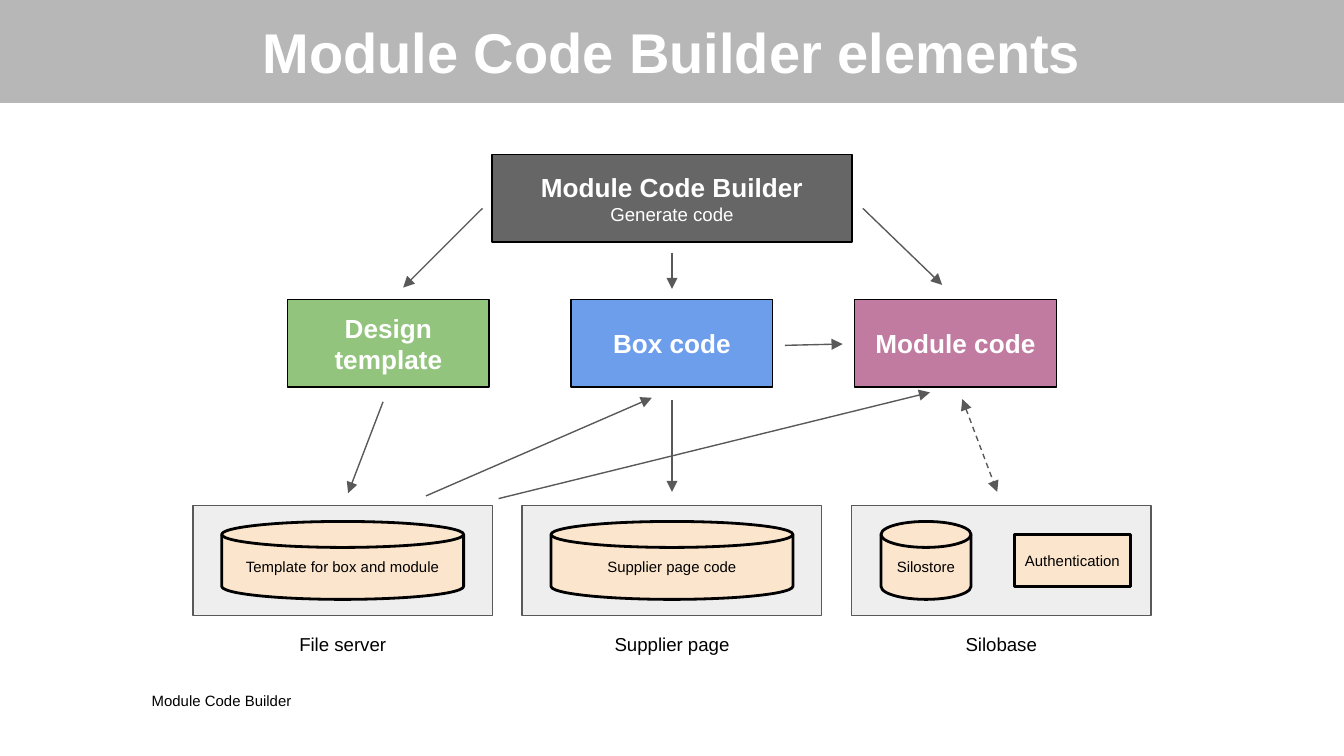
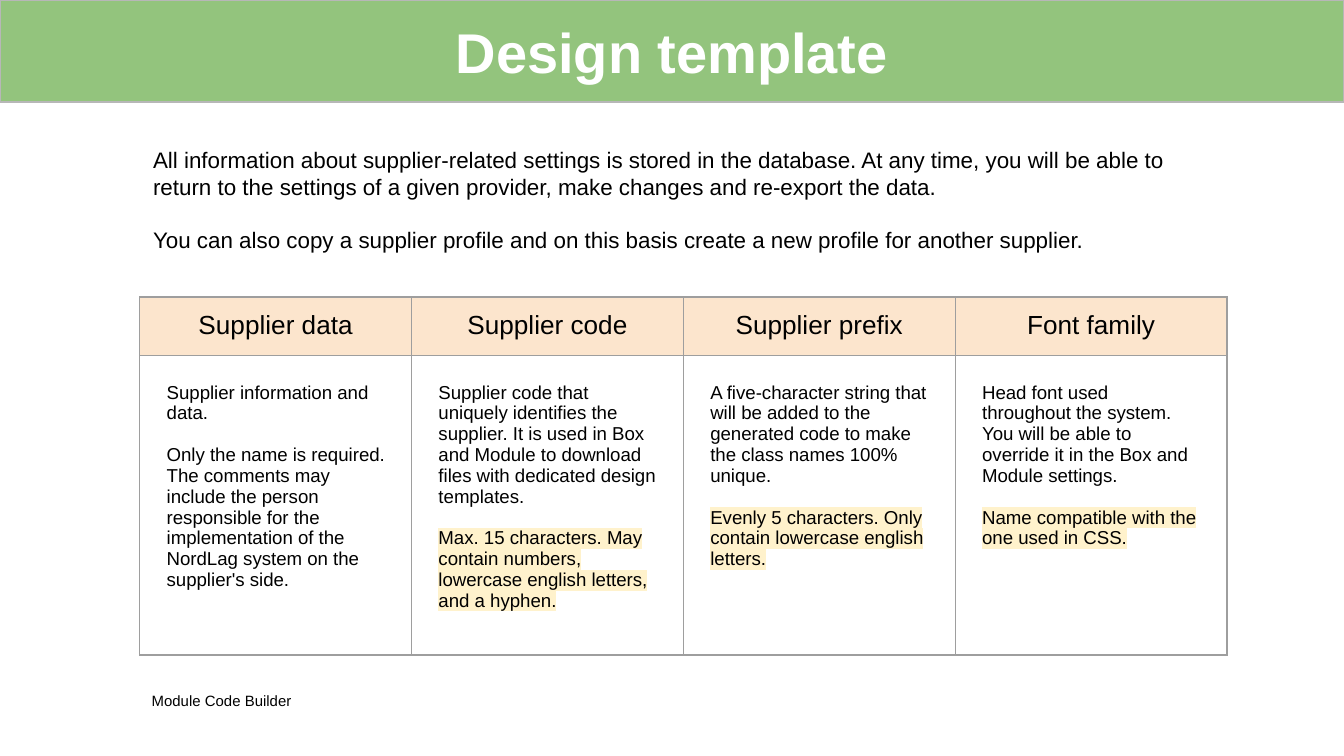
from lxml.etree import SubElement
from pptx import Presentation
from pptx.dml.color import RGBColor
from pptx.enum.dml import MSO_LINE
from pptx.enum.shapes import MSO_CONNECTOR, MSO_SHAPE as Shape
from pptx.enum.text import MSO_ANCHOR as Anchor, PP_ALIGN as Align
from pptx.oxml.ns import qn
from pptx.util import Inches, Pt

WIDTH, HEIGHT = 10, 10 * 9 / 16
MIDDLE = WIDTH / 2
FONT = "Arial"
COLORS = {
    "white": "FFFFFF", "black": "000000", "band": "B7B7B7", "builder": "666666",
    "design": "93C47D", "box": "6D9EEB", "module": "C27BA0", "storage": "EEEEEE",
    "peach": "FCE5CD", "line": "595959", "grid": "9E9E9E", "highlight": "FFF2CC",
}
FOOTER = "Module Code Builder"

# Diagram: code parts and storages are centred on evenly spaced columns.
PARTS = [("Design template", "design"), ("Box code", "box"), ("Module code", "module")]
PART_STEP, PART_SIZE, PART_TOP = 2.11, (1.5, 0.65), 2.23
DISK, RECT = Shape.FLOWCHART_MAGNETIC_DISK, Shape.RECTANGLE
# Storage label, then its contents: text, shape, offset from centre, size
STORAGES = [
    ("File server", [("Template for box and module", DISK, 0, (1.8, 0.58))]),
    ("Supplier page", [("Supplier page code", DISK, 0, (1.8, 0.58))]),
    ("Silobase", [("Silostore", DISK, -0.56, (0.67, 0.58)),
                  ("Authentication", RECT, 0.53, (0.86, 0.39))]),
]
STORAGE_STEP, STORAGE_SIZE, STORAGE_TOP, LABEL_TOP = 2.45, (2.23, 0.82), 3.76, 4.67
ARROWS = [
    ((3.59, 1.55), (3, 2.14)),
    ((5, 1.88), (5, 2.15)),
    ((6.42, 1.55), (7.01, 2.12)),
    ((5.84, 2.57), (6.27, 2.56)),
    ((2.85, 2.99), (2.59, 3.67)),
    ((3.17, 3.69), (4.85, 2.96)),
    ((3.71, 3.71), (6.92, 2.92)),
    ((5, 2.98), (5, 3.66)),
]
TWO_WAY_ARROW = ((7.16, 2.97), (7.42, 3.66))

INTRO = [
    "All information about supplier-related settings is stored in the database. At any time, "
    "you will be able to return to the settings of a given provider, make changes and "
    "re-export the data.",
    "You can also copy a supplier profile and on this basis create a new profile for "
    "another supplier.",
]
# Heading, description, second paragraph, whether that paragraph is highlighted
SETTINGS = [
    ("Supplier data", "Supplier information and data.",
     "Only the name is required. The comments may include the person responsible for the "
     "implementation of the NordLag system on the supplier's side.", False),
    ("Supplier code",
     "Supplier code that uniquely identifies the supplier. It is used in Box and Module to "
     "download files with dedicated design templates.",
     "Max. 15 characters. May contain numbers, lowercase english letters, and a hyphen.", True),
    ("Supplier prefix",
     "A five-character string that will be added to the generated code to make the class "
     "names 100% unique.",
     "Evenly 5 characters. Only contain lowercase english letters.", True),
    ("Font family",
     "Head font used throughout the system. You will be able to override it in the Box and "
     "Module settings.",
     "Name compatible with the one used in CSS.", True),
]
TABLE_LEFT, TABLE_TOP, TABLE_WIDTH = 1.04, 2.21, 8.09
ROW_HEIGHTS = (0.43, 2.23)


def rgb(name):
    return RGBColor.from_string(COLORS[name])


def inches(*lengths):
    return [Inches(length) for length in lengths]


def set_margins(holder, horizontal, vertical):
    holder.margin_left = holder.margin_right = Inches(horizontal)
    holder.margin_top = holder.margin_bottom = Inches(vertical)


def write(frame, lines, color="black", align=Align.LEFT, gap=0):
    """Fill a frame with (text, size, bold) lines, gap points apart."""
    frame.word_wrap = True
    for number, (text, size, bold) in enumerate(lines):
        paragraph = frame.add_paragraph() if number else frame.paragraphs[0]
        paragraph.add_run().text = text
        paragraph.alignment = align
        paragraph.space_before = Pt(gap if number else 0)
        font = paragraph.font
        font.name, font.size, font.bold = FONT, Pt(size), bold
        font.color.rgb = rgb(color)


def add_box(slide, kind, at, fill, outline="black", weight=0.75, lines=(),
            color="white", margins=(0.07, 0.04)):
    box = slide.shapes.add_shape(kind, *inches(*at))
    box.shadow.inherit = False
    box.fill.solid()
    box.fill.fore_color.rgb = rgb(fill)
    box.line.color.rgb = rgb(outline)
    box.line.width = Pt(weight)
    box.text_frame.vertical_anchor = Anchor.MIDDLE
    set_margins(box.text_frame, *margins)
    write(box.text_frame, lines, color, Align.CENTER)


def add_text(slide, at, lines, margins=(0.1, 0.1), **style):
    frame = slide.shapes.add_textbox(*inches(*at)).text_frame
    set_margins(frame, *margins)
    write(frame, lines, **style)


def add_arrow(slide, start, end, two_way=False):
    arrow = slide.shapes.add_connector(MSO_CONNECTOR.STRAIGHT, *inches(*start, *end))
    arrow.line.color.rgb = rgb("line")
    arrow.line.width = Pt(0.75)
    if two_way:
        arrow.line.dash_style = MSO_LINE.DASH
    properties = arrow._element.spPr
    for tip in ("a:headEnd", "a:tailEnd")[0 if two_way else 1:]:
        SubElement(properties.find(qn("a:ln")), qn(tip), type="triangle")
    SubElement(properties, qn("a:effectLst"))


def add_slide(deck, title, band):
    slide = deck.slides.add_slide(deck.slide_layouts[6])
    add_box(slide, RECT, (0, 0, WIDTH, 0.76), band, "band",
            lines=[(title, 30, True)], margins=(0.1, 0.1))
    add_text(slide, (1.03, 5.08, 1.83, 0.34), [(FOOTER, 8, False)])
    return slide


def centred(center, top, size):
    return center - size[0] / 2, top, *size


def columns(entries, step):
    """Pair each entry with its column centre, spread about the slide's middle."""
    first = MIDDLE - step * (len(entries) - 1) / 2
    return [(first + step * number, entry) for number, entry in enumerate(entries)]


def build_elements(deck):
    slide = add_slide(deck, "Module Code Builder elements", "band")
    add_box(slide, RECT, centred(MIDDLE, 1.15, (2.68, 0.65)), "builder",
            lines=[("Module Code Builder", 14, True), ("Generate code", 10, False)])
    for center, (name, fill) in columns(PARTS, PART_STEP):
        add_box(slide, RECT, centred(center, PART_TOP, PART_SIZE), fill,
                lines=[(name, 14, True)])
    for center, (label, contents) in columns(STORAGES, STORAGE_STEP):
        add_box(slide, RECT, centred(center, STORAGE_TOP, STORAGE_SIZE), "storage", "line")
        for name, kind, offset, size in contents:
            top = STORAGE_TOP + (STORAGE_SIZE[1] - size[1]) / 2
            add_box(slide, kind, centred(center + offset, top, size), "peach",
                    weight=1.5, lines=[(name, 8, False)], color="black")
        add_text(slide, centred(center, LABEL_TOP, (STORAGE_SIZE[0], 0.24)),
                 [(label, 10, False)], (0.07, 0.04), align=Align.CENTER)
    for start, end in ARROWS:
        add_arrow(slide, start, end)
    add_arrow(slide, *TWO_WAY_ARROW, two_way=True)


def style_cell(cell, margin, fill=None):
    set_margins(cell, margin, margin)
    properties = cell._tc.get_or_add_tcPr()
    for side in "LRTB":
        border = SubElement(properties, qn(f"a:ln{side}"), w=str(Pt(0.75)))
        SubElement(SubElement(border, qn("a:solidFill")), qn("a:srgbClr"), val=COLORS["grid"])
    if fill:
        cell.fill.solid()
        cell.fill.fore_color.rgb = rgb(fill)
    else:
        cell.fill.background()


def highlight(paragraph):
    marker = SubElement(paragraph.runs[0]._r.get_or_add_rPr(), qn("a:highlight"))
    SubElement(marker, qn("a:srgbClr"), val=COLORS["highlight"])


def build_design_template(deck):
    slide = add_slide(deck, "Design template", "design")
    add_text(slide, (TABLE_LEFT, 0.99, TABLE_WIDTH, 1.01),
             [(text, 12, False) for text in INTRO], gap=14)
    table = slide.shapes.add_table(2, len(SETTINGS), *inches(
        TABLE_LEFT, TABLE_TOP, TABLE_WIDTH, sum(ROW_HEIGHTS))).table
    table.first_row = table.horz_banding = False
    for row, height in zip(table.rows, ROW_HEIGHTS):
        row.height = Inches(height)
    for column, (heading, description, detail, marked) in enumerate(SETTINGS):
        head, body = table.cell(0, column), table.cell(1, column)
        style_cell(head, 0.1, "peach")
        write(head.text_frame, [(heading, 14, False)], align=Align.CENTER)
        style_cell(body, 0.2)
        write(body.text_frame, [(description, 10, False), (detail, 10, False)], gap=11.2)
        if marked:
            highlight(body.text_frame.paragraphs[1])


def main():
    deck = Presentation()
    deck.slide_width, deck.slide_height = inches(WIDTH, HEIGHT)
    build_elements(deck)
    build_design_template(deck)
    deck.save("out.pptx")


if __name__ == "__main__":
    main()
